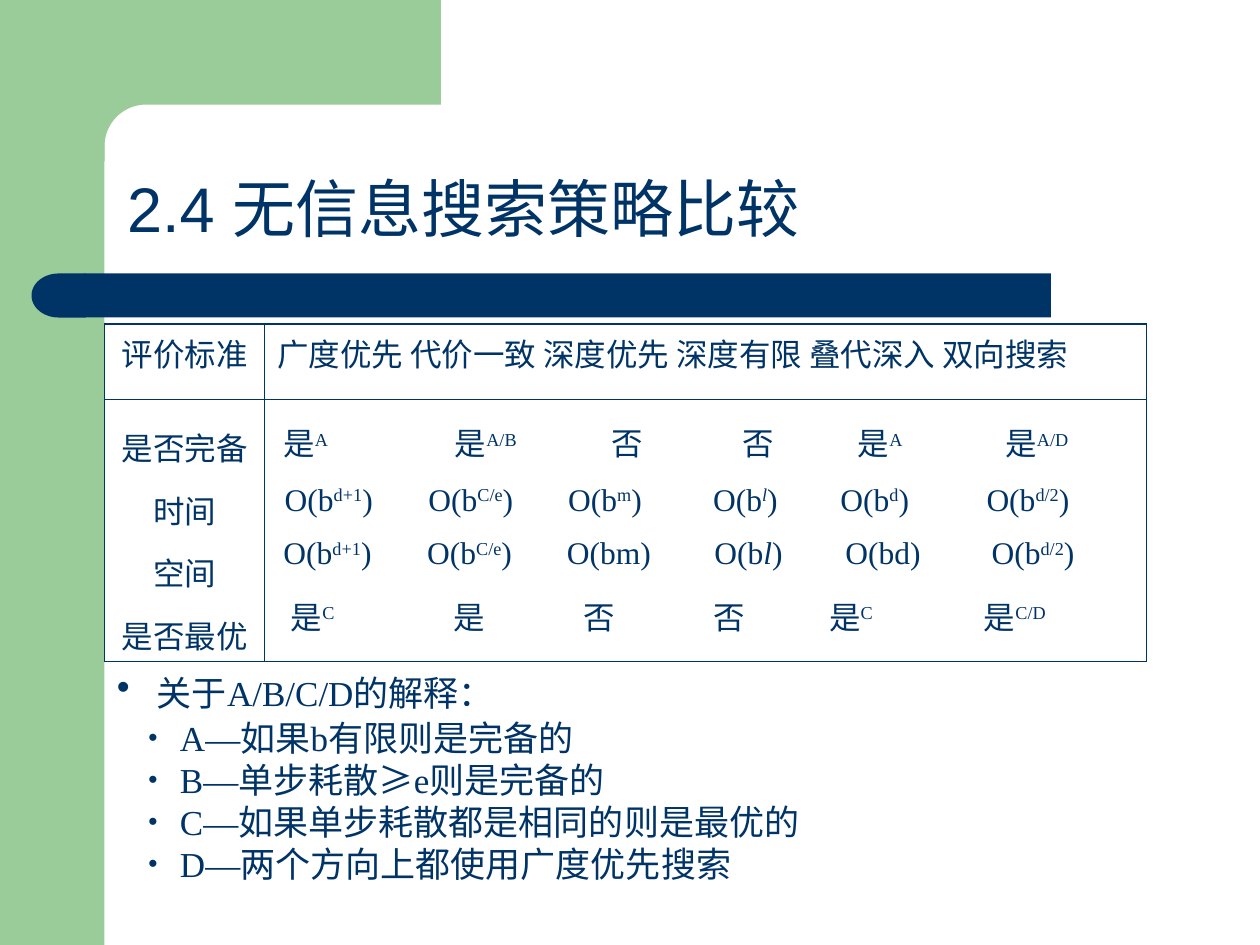
from math import cos, pi, sin

from lxml.etree import SubElement
from pptx import Presentation
from pptx.dml.color import RGBColor
from pptx.enum.shapes import MSO_SHAPE as Preset
from pptx.enum.text import MSO_ANCHOR as Anchor, PP_ALIGN as Align
from pptx.oxml.ns import qn
from pptx.util import Inches, Pt

NAVY, GREEN, WHITE = "003366", "99CC99", "FFFFFF"
SANS, SERIF, CJK = "Arial", "Times New Roman", "Noto Sans CJK KR"
THICK, THIN = 1.08, 0.45

TITLE = "2.4 无信息搜索策略比较"
CRITERIA_TITLE = "评价标准"
STRATEGIES = "广度优先 代价一致 深度优先 深度有限 叠代深入 双向搜索"
CRITERIA = [("是否完备", 1.4), ("时间", 1.2), ("空间", 1.2), ("是否最优", 1.2)]
RESULTS = [
    ([0.05, 1.41, 2.65, 3.69, 4.61, 5.78],
     ["是^A", "是^A/B", "否", "否", "是^A", "是^A/D"]),
    ([0.06, 1.2, 2.31, 3.46, 4.47, 5.63],
     ["O(b^d+1^)", "O(b^C/e^)", "O(b^m^)", "O(b^_l_^)", "O(b^d^)", "O(b^d/2^)"]),
    ([0.05, 1.19, 2.3, 3.47, 4.51, 5.67],
     ["O(b^d+1^)", "O(b^C/e^)", "O(bm)", "O(b_l_)", "O(bd)", "O(b^d/2^)"]),
    ([0.11, 1.4, 2.43, 3.46, 4.38, 5.61],
     ["是^C", "是", "否", "否", "是^C", "是^C/D"]),
]
NOTES_TITLE = "关于A/B/C/D的解释："
NOTES = ["A—如果b有限则是完备的", "B—单步耗散≥e则是完备的",
         "C—如果单步耗散都是相同的则是最优的", "D—两个方向上都使用广度优先搜索"]


def color(value):
    return RGBColor.from_string(value)


def paint(shape, fill):
    shape.shadow.inherit = False
    shape.fill.solid()
    shape.fill.fore_color.rgb = color(fill)
    shape.line.fill.background()


def add_block(page, preset, area, fill):
    shape = page.shapes.add_shape(preset, *map(Inches, area))
    paint(shape, fill)
    return shape


def add_corner(page):
    center, radius, steps = 1.16, 0.33, 24
    angles = [pi / 2 * step / steps for step in range(steps + 1)]
    arc = [(center - radius * sin(a), center - radius * cos(a)) for a in angles]
    points = [(3.5, 0.83), *arc, (0.83, 1.28), (0.5, 1.28), (0.5, 0)]
    builder = page.shapes.build_freeform(Inches(3.5), 0)
    builder.add_line_segments([(Inches(x), Inches(y)) for x, y in points])
    paint(builder.convert_to_shape(), GREEN)


def add_text(page, area, anchor):
    frame = page.shapes.add_textbox(*map(Inches, area)).text_frame
    frame.word_wrap = True
    frame.vertical_anchor = anchor
    return frame


def next_para(frame, index):
    return frame.add_paragraph() if index else frame.paragraphs[0]


def add_span(para, text, size, font):
    span = para.add_run()
    span.text = text
    span.font.size = Pt(size)
    span.font.name = font
    span.font.color.rgb = color(NAVY)
    return span


def add_formula(para, formula):
    for level, part in enumerate(formula.split("^")):
        for slant, text in enumerate(part.split("_")):
            if text:
                span = add_span(para, text, 18, SERIF)
                span.font.italic = slant % 2 == 1
                if level % 2:
                    span.font._element.set("baseline", "30000")


def set_tabs(para, stops):
    tabs = SubElement(para._p.get_or_add_pPr(), qn("a:tabLst"))
    for stop in stops:
        SubElement(tabs, qn("a:tab"), pos=str(Inches(stop)), algn="l")


def set_bullet(para, margin, hanging):
    props = para._p.get_or_add_pPr()
    props.set("marL", str(Inches(margin)))
    props.set("indent", str(-Inches(hanging)))
    bullet_color = SubElement(props, qn("a:buClr"))
    SubElement(bullet_color, qn("a:srgbClr"), val=NAVY)
    SubElement(props, qn("a:buSzPct"), val="75000")
    SubElement(props, qn("a:buFont"), typeface=SANS)
    SubElement(props, qn("a:buChar"), char="•")


def set_borders(cell, row, column):
    widths = {"L": THIN if column else THICK, "R": THICK if column else THIN,
              "T": THIN if row else THICK, "B": THICK if row else THIN}
    props = cell._tc.get_or_add_tcPr()
    for index, (side, width) in enumerate(widths.items()):
        line = props.makeelement(qn(f"a:ln{side}"), {"w": str(Pt(width))})
        fill = SubElement(line, qn("a:solidFill"))
        SubElement(fill, qn("a:srgbClr"), val=NAVY)
        props.insert(index, line)


def add_comparison(page):
    area = map(Inches, (0.83, 2.57, 8.27, 2.68))
    table = page.shapes.add_table(2, 2, *area).table
    table.first_row = table.horz_banding = False
    for column, width in zip(table.columns, (1.27, 7)):
        column.width = Inches(width)
    for row, height in zip(table.rows, (0.6, 2.08)):
        row.height = Inches(height)
    for row in range(2):
        for column in range(2):
            cell = table.cell(row, column)
            cell.fill.solid()
            cell.fill.fore_color.rgb = color(WHITE)
            set_borders(cell, row, column)

    for column, text in enumerate((CRITERIA_TITLE, STRATEGIES)):
        para = table.cell(0, column).text_frame.paragraphs[0]
        para.alignment = Align.LEFT if column else Align.CENTER
        para.space_before = Pt(4.5)
        add_span(para, text, 18, SANS)

    for index, (text, spacing) in enumerate(CRITERIA):
        para = next_para(table.cell(1, 0).text_frame, index)
        para.alignment = Align.CENTER
        para.line_spacing = spacing
        para.space_before = Pt(4.5)
        add_span(para, text, 18, SANS)

    for index, (stops, formulas) in enumerate(RESULTS):
        para = next_para(table.cell(1, 1).text_frame, index)
        para.line_spacing = 1.3
        para.space_before = Pt(4.5)
        set_tabs(para, stops)
        for formula in formulas:
            add_span(para, "\t", 18, SERIF)
            add_formula(para, formula)


def add_notes_list(page):
    frame = add_text(page, (0.83, 5.17, 7.72, 1.9), Anchor.TOP)
    heading = frame.paragraphs[0]
    set_bullet(heading, 0.23, 0.23)
    add_span(heading, " ", 28, CJK)
    add_span(heading, NOTES_TITLE, 20, SERIF)
    for note in NOTES:
        para = frame.add_paragraph()
        set_bullet(para, 0.5, 0.25)
        add_span(para, note, 20, SERIF)


def main():
    deck = Presentation()
    deck.slide_width, deck.slide_height = Inches(10), Inches(7.5)
    page = deck.slides.add_slide(deck.slide_layouts[6])
    add_block(page, Preset.RECTANGLE, (0, 0, 0.83, 7.5), GREEN)
    add_corner(page)
    add_block(page, Preset.RECTANGLE, (0.67, 2.17, 7.67, 0.35), NAVY)
    cap = add_block(page, Preset.FLOWCHART_DELAY, (0.25, 2.17, 0.43, 0.35), NAVY)
    cap.rotation = 180
    title = add_text(page, (0.91, 0.91, 8.51, 1.09), Anchor.BOTTOM).paragraphs[0]
    title.line_spacing = 0.9
    add_span(title, TITLE, 36, SANS)
    add_comparison(page)
    add_notes_list(page)
    deck.save("out.pptx")


if __name__ == "__main__":
    main()
